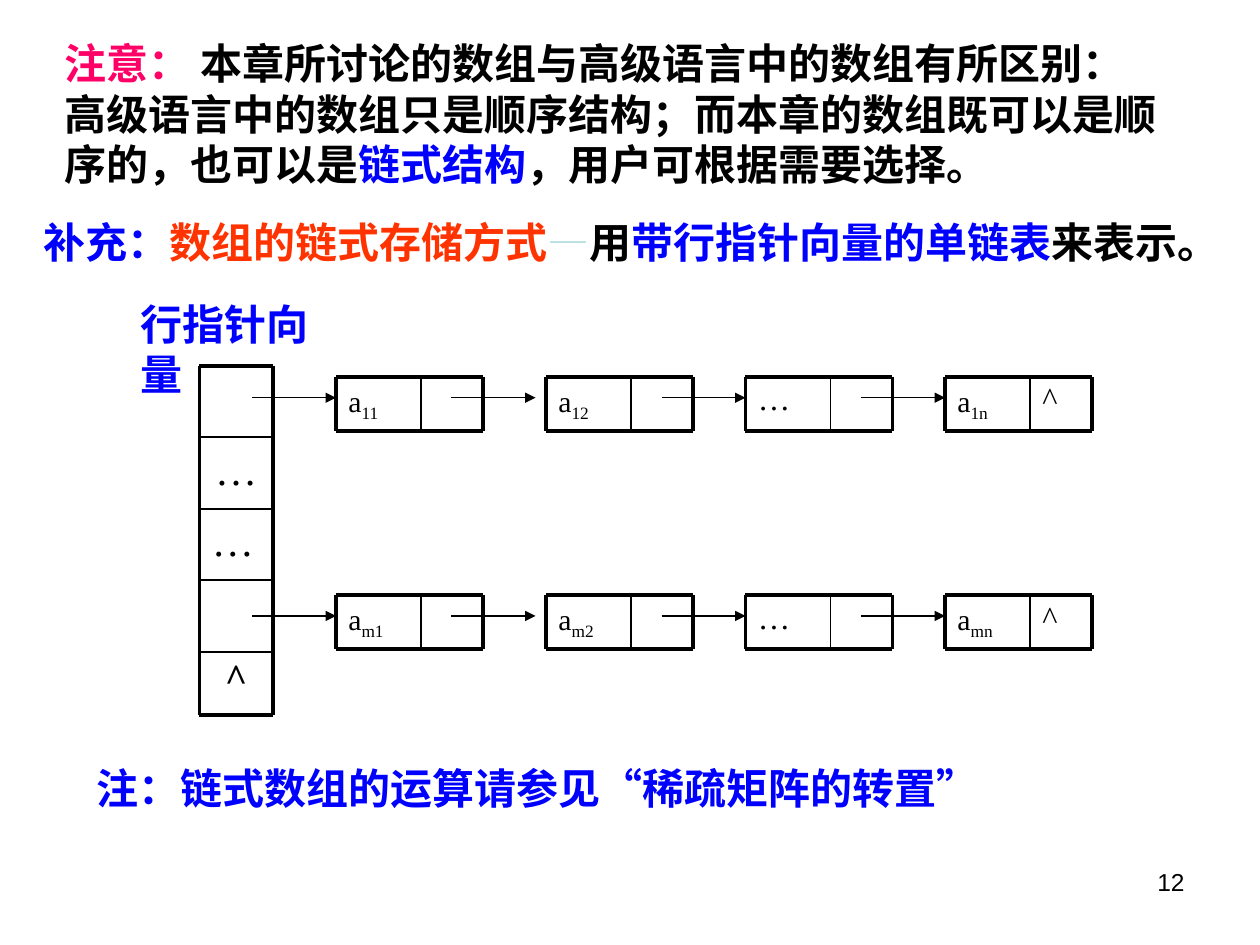
from lxml import etree
from pptx import Presentation
from pptx.dml.color import RGBColor
from pptx.enum import shapes, text
from pptx.oxml import ns
from pptx.util import Pt

COLORS = {"black": "000000", "blue": "0000FF", "red": "FF3300",
          "pink": "FF0066", "pale": "BBE0E3"}
SERIF, SANS = "Times New Roman", "Arial"
FRAME, DIVIDER, POINTER = 2.25, 1, 0.75
LEFT, CENTER, RIGHT = text.PP_ALIGN.LEFT, text.PP_ALIGN.CENTER, text.PP_ALIGN.RIGHT


def add_text(parent, box, paragraphs, size=24, font=SERIF, bold=False,
             align=LEFT, spacing=None, wrap=True):
    """Place paragraphs, each a list of (text, colour) or (text, colour, baseline)."""
    frame = parent.add_textbox(*map(Pt, box)).text_frame
    frame.word_wrap = wrap
    for index, pieces in enumerate(paragraphs):
        paragraph = frame.add_paragraph() if index else frame.paragraphs[0]
        paragraph.alignment = align
        if spacing:
            paragraph.line_spacing = spacing
        for words, color, *baseline in pieces:
            run = paragraph.add_run()
            run.text = words
            run.font.size, run.font.name, run.font.bold = Pt(size), font, bold
            run.font.color.rgb = RGBColor.from_string(COLORS[color])
            if baseline:
                run.font._element.set("baseline", str(baseline[0]))


def add_line(parent, x1, y1, x2, y2, width, arrow=False):
    line = parent.add_connector(shapes.MSO_CONNECTOR.STRAIGHT,
                                Pt(x1), Pt(y1), Pt(x2), Pt(y2))
    line.line.width = Pt(width)
    line.line.color.rgb = RGBColor.from_string(COLORS["black"])
    if arrow:
        etree.SubElement(line.line._get_or_add_ln(), ns.qn("a:tailEnd"), type="triangle")
    etree.SubElement(line._element.spPr, ns.qn("a:effectLst"))


def add_pointer(parent, x, y, length=48):
    add_line(parent, x, y, x + length, y, POINTER, arrow=True)


def row_vector(slide, left, top, width, height):
    group = slide.shapes.add_group_shape().shapes
    row = 40.85
    edges = [top + row * i for i in range(5)] + [top + height]
    cells = [(1, "…", CENTER, False, None), (2, "…", LEFT, False, None),
             (4, "^", CENTER, True, 0.9)]
    for index, mark, align, bold, spacing in cells:
        cell_top = edges[index]
        add_text(group, (left, cell_top, width, edges[index + 1] - cell_top),
                 [[(mark, "black")]], 22.2 if mark == "^" else 24,
                 bold=bold, align=align, spacing=spacing)
    for y in edges:
        add_line(group, left, y, left + width, y,
                 FRAME if y in (edges[0], edges[-1]) else DIVIDER)
    for x in (left, left + width):
        add_line(group, x, top, x, top + height, FRAME)


def list_node(group, left, top, width, height, subscript, last):
    """Draw one node; without a subscript it stands for the nodes left out."""
    split, right, bottom = left + 48.6, left + width, top + height
    pieces = [("a", "black"), (subscript, "black", -25000)] if subscript else [("…", "black")]
    add_text(group, (left, top, split - left, height), [pieces],
             17 if subscript else 18.5, spacing=0.9)
    for y in (top, bottom):
        add_line(group, left, y, right, y, FRAME)
    for x, weight in ((left, FRAME), (split, DIVIDER), (right, FRAME)):
        add_line(group, x, top, x, bottom, weight)
    if last:
        add_text(group, (split, top, right - split, height), [[("^", "black")]],
                 18.5, spacing=0.9)
    else:
        add_pointer(group, left + 66, top + 12)


def linked_row(slide, left, top, height, name):
    group = slide.shapes.add_group_shape().shapes
    add_pointer(group, left - 48, top + 12)
    subscripts = [name + "1", name + "2", "", name + "n"]
    for offset, subscript in zip((0, 120, 234, 348), subscripts):
        list_node(group, left + offset, top, 84, height, subscript, offset == 348)


def notes_on_arrays(slide):
    add_text(slide.shapes, (30, 18, 654, 94), [
        [("注意：", "pink"), (" 本章所讨论的数组与高级语言中的数组有所区别：", "black")],
        [("高级语言中的数组只是顺序结构；而本章的数组既可以是顺序的，也可以是", "black"),
         ("链式结构", "blue"), ("，用户可根据需要选择。", "black")],
    ], font=SANS, bold=True)
    add_text(slide.shapes, (18, 120, 684, 36), [
        [("补充：", "blue"), ("数组的链式存储方式", "red"), ("—", "pale"),
         ("用", "black"), ("带行指针向量的单链表", "blue"), ("来表示。", "black")],
    ], bold=True)
    add_text(slide.shapes, (48, 432, 522, 36),
             [[("注：链式数组的运算请参见“稀疏矩阵的转置”", "blue")]], bold=True)


def linked_storage(slide):
    add_text(slide.shapes, (73, 167, 134, 36), [[("行指针向量", "blue")]],
             bold=True, wrap=False)
    row_vector(slide, 114, 209, 42, 199.4)
    for top, name in ((215.3, "1"), (340, "m")):
        linked_row(slide, 192, top, 31, name)


def main():
    deck = Presentation()
    deck.slide_width, deck.slide_height = Pt(720), Pt(540)
    slide = deck.slides.add_slide(deck.slide_layouts[6])
    notes_on_arrays(slide)
    linked_storage(slide)
    add_text(slide.shapes, (516, 492, 168, 37.5), [[("12", "black")]], 14, SANS, align=RIGHT)
    deck.save("out.pptx")


if __name__ == "__main__":
    main()
